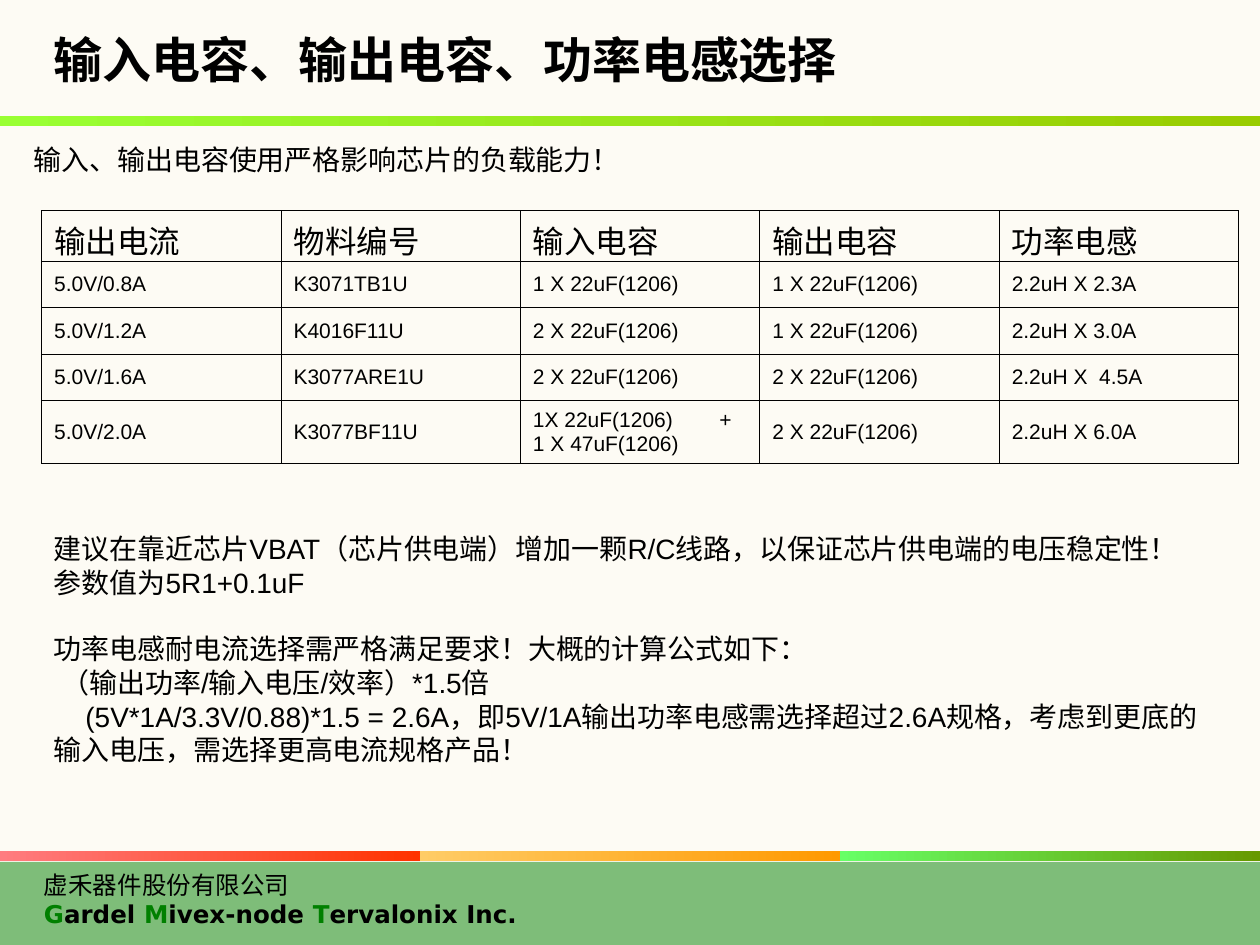
import pptx
import pptx.dml.color
import pptx.enum.shapes
import pptx.enum.text
import pptx.oxml.ns
import pptx.util
from lxml import etree

Inches = pptx.util.Inches
Pt = pptx.util.Pt
RGBColor = pptx.dml.color.RGBColor
qn = pptx.oxml.ns.qn
MIDDLE = pptx.enum.text.MSO_ANCHOR.MIDDLE
TOP = pptx.enum.text.MSO_ANCHOR.TOP

BLACK = RGBColor(0x00, 0x00, 0x00)
CREAM = RGBColor(0xFC, 0xF8, 0xEA)
GREEN = RGBColor(0x00, 0x80, 0x00)
HEADER_BAR = (RGBColor(0x99, 0xFF, 0x33), RGBColor(0x99, 0xCC, 0x00))
FOOTER_BARS = [
    (RGBColor(0xFF, 0x7C, 0x80), RGBColor(0xFF, 0x33, 0x00)),
    (RGBColor(0xFF, 0xCC, 0x66), RGBColor(0xFF, 0x99, 0x00)),
    (RGBColor(0x66, 0xFF, 0x66), RGBColor(0x66, 0x99, 0x00)),
]

COMPONENT_ROWS = [
    ["输出电流", "物料编号", "输入电容", "输出电容", "功率电感"],
    ["5.0V/0.8A", "K3071TB1U", "1 X 22uF(1206)", "1 X 22uF(1206)", "2.2uH X 2.3A"],
    ["5.0V/1.2A", "K4016F11U", "2 X 22uF(1206)", "1 X 22uF(1206)", "2.2uH X 3.0A"],
    ["5.0V/1.6A", "K3077ARE1U", "2 X 22uF(1206)", "2 X 22uF(1206)", "2.2uH X  4.5A"],
    ["5.0V/2.0A", "K3077BF11U", "1X 22uF(1206)\t+ 1 X 47uF(1206)", "2 X 22uF(1206)", "2.2uH X 6.0A"],
]
ROW_HEIGHTS = [0.4, 0.37, 0.37, 0.37, 0.5]

ADVICE = [
    ("建议在靠近芯片VBAT（芯片供电端）增加一颗R/C线路，以保证芯片供电端的电压稳定性！", 0, 0),
    ("参数值为5R1+0.1uF", 0, 0),
    ("功率电感耐电流选择需严格满足要求！大概的计算公式如下：", 19, 0),
    ("（输出功率/输入电压/效率）*1.5倍", 0, 0.06),
    ("(5V*1A/3.3V/0.88)*1.5 = 2.6A，即5V/1A输出功率电感需选择超过2.6A规格，"
     "考虑到更底的输入电压，需选择更高电流规格产品！", 0, 0.25),
]
COMPANY_NAME = [
    ("G", GREEN), ("ardel ", BLACK), ("M", GREEN), ("ivex-node ", BLACK),
    ("T", GREEN), ("ervalonix Inc.", BLACK),
]


def write(paragraph, text, size=16, font="Arial", color=BLACK, bold=False):
    run = paragraph.add_run()
    run.text = text
    run.font.size = Pt(size)
    run.font.name = font
    run.font.color.rgb = color
    run.font.bold = bold


class SlideBuilder:
    def __init__(self, slide, border_width=0.45, tab_stop=1.48):
        self.slide = slide
        self.border_width = border_width
        self.tab_stop = tab_stop

    def rectangle(self, left, top, width, height):
        shape = self.slide.shapes.add_shape(
            pptx.enum.shapes.MSO_SHAPE.RECTANGLE,
            Inches(left), Inches(top), Inches(width), Inches(height))
        shape.shadow.inherit = False
        shape.line.fill.background()
        return shape

    def translucent_panel(self, left, top, width, height, color, opacity=50):
        shape = self.rectangle(left, top, width, height)
        shape.fill.solid()
        shape.fill.fore_color.rgb = color
        color_element = shape.fill._xPr.find(qn("a:solidFill"))[0]
        etree.SubElement(color_element, qn("a:alpha")).set("val", str(opacity * 1000))

    def gradient_bar(self, left, top, width, height, colors):
        shape = self.rectangle(left, top, width, height)
        shape.fill.gradient()
        shape.fill.gradient_angle = 0
        for stop, color in zip(shape.fill.gradient_stops, colors):
            stop.color.rgb = color

    def text_box(self, left, top, width, height, anchor=TOP):
        shape = self.slide.shapes.add_textbox(
            Inches(left), Inches(top), Inches(width), Inches(height))
        shape.text_frame.word_wrap = True
        shape.text_frame.vertical_anchor = anchor
        return shape.text_frame

    def cell(self, cell, text, size):
        cell.vertical_anchor = MIDDLE
        cell.margin_left = cell.margin_right = Inches(0.1)
        cell.margin_top = cell.margin_bottom = Inches(0.05)
        properties = cell._tc.get_or_add_tcPr()
        for side in ("a:lnL", "a:lnR", "a:lnT", "a:lnB"):
            line = etree.SubElement(properties, qn(side), w=str(Pt(self.border_width)))
            fill = etree.SubElement(line, qn("a:solidFill"))
            etree.SubElement(fill, qn("a:srgbClr"), val=str(BLACK))
        cell.fill.background()
        paragraph = cell.text_frame.paragraphs[0]
        if "\t" in text:
            tabs = etree.SubElement(paragraph._p.get_or_add_pPr(), qn("a:tabLst"))
            etree.SubElement(tabs, qn("a:tab"), pos=str(Inches(self.tab_stop)), algn="l")
        write(paragraph, text, size=size)

    def table(self, left, top, width, rows, heights):
        table = self.slide.shapes.add_table(
            len(rows), len(rows[0]), Inches(left), Inches(top),
            Inches(width), Inches(sum(heights))).table
        table.first_row = table.horz_banding = False
        for row_index, values in enumerate(rows):
            table.rows[row_index].height = Inches(heights[row_index])
            for column_index, text in enumerate(values):
                self.cell(table.cell(row_index, column_index), text,
                          size=18 if row_index == 0 else 12)


def main():
    presentation = pptx.Presentation()
    presentation.slide_width = Inches(10)
    presentation.slide_height = Inches(7.5)
    builder = SlideBuilder(presentation.slides.add_slide(presentation.slide_layouts[6]))

    builder.translucent_panel(0, 0, 10, 7.5, CREAM)
    builder.translucent_panel(0, 6.84, 10, 0.66, GREEN)
    builder.gradient_bar(0, 0.92, 10, 0.08, HEADER_BAR)

    company = builder.text_box(0.25, 6.85, 4.25, 0.57, MIDDLE)
    write(company.paragraphs[0], "虚禾器件股份有限公司", size=14, font="DejaVu Sans")
    name = company.add_paragraph()
    for text, color in COMPANY_NAME:
        write(name, text, size=14, font="DejaVu Sans", color=color, bold=True)

    bar_width = 10 / len(FOOTER_BARS)
    for index, colors in enumerate(FOOTER_BARS):
        builder.gradient_bar(index * bar_width, 6.75, bar_width, 0.08, colors)

    title = builder.text_box(0.33, 0.17, 7.92, 0.59, MIDDLE)
    write(title.paragraphs[0], "输入电容、输出电容、功率电感选择", size=28, bold=True)
    summary = builder.text_box(0.17, 1.08, 9.58, 0.37)
    write(summary.paragraphs[0], "输入、输出电容使用严格影响芯片的负载能力！")

    builder.table(0.33, 1.67, 9.5, COMPONENT_ROWS, ROW_HEIGHTS)

    advice = builder.text_box(0.33, 4.17, 9.42, 1.97)
    for index, (text, space_before, indent) in enumerate(ADVICE):
        paragraph = advice.add_paragraph() if index else advice.paragraphs[0]
        if space_before:
            paragraph.space_before = Pt(space_before)
        if indent:
            paragraph._p.get_or_add_pPr().set("indent", str(Inches(indent)))
        write(paragraph, text)

    presentation.save("out.pptx")


if __name__ == "__main__":
    main()
